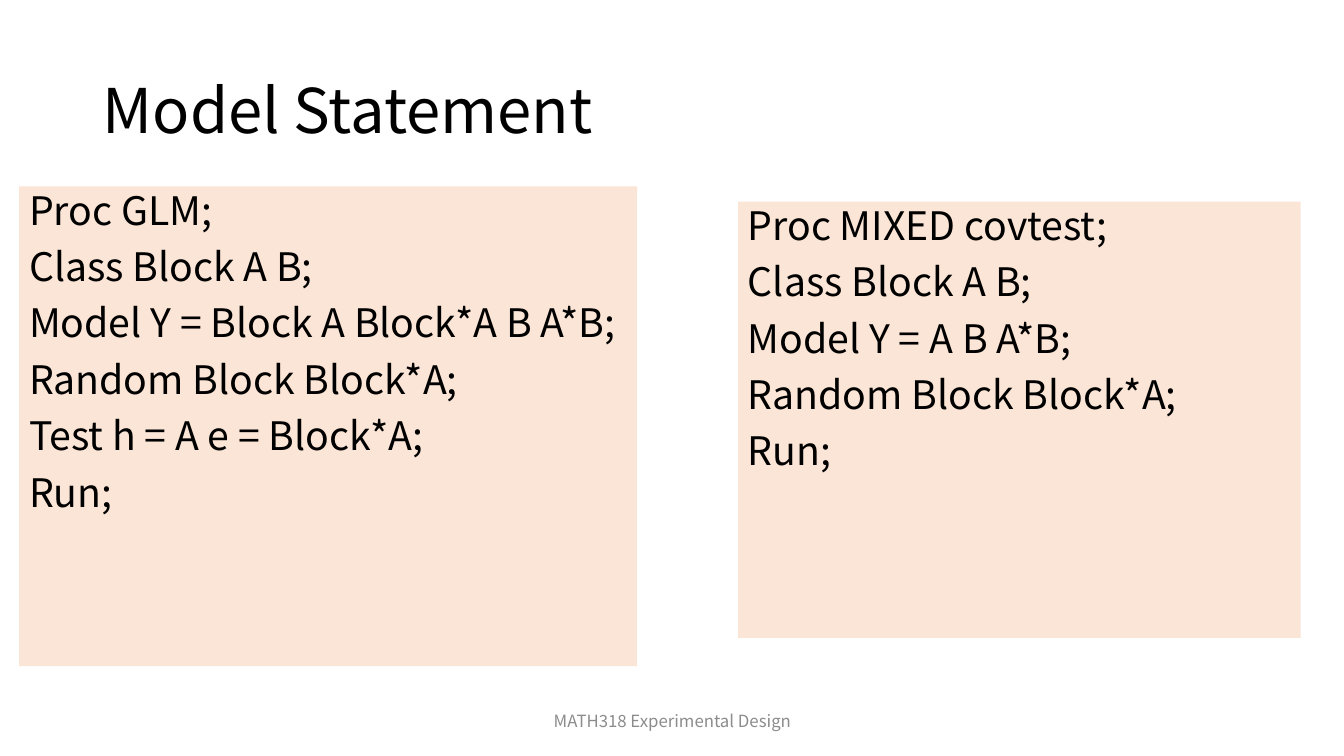
from dataclasses import dataclass

from pptx import Presentation
from pptx.dml.color import RGBColor
from pptx.enum.text import MSO_ANCHOR, PP_ALIGN
from pptx.util import Inches, Pt


@dataclass(frozen=True)
class Theme:
    font: str = "Noto Sans CJK SC"
    ink: RGBColor = RGBColor(0x00, 0x00, 0x00)
    muted: RGBColor = RGBColor(0x8C, 0x8C, 0x8C)
    panel: RGBColor = RGBColor(0xFB, 0xE5, 0xD6)
    title_size: int = 44
    code_size: int = 28
    footer_size: int = 12


theme = Theme()


def add_text(slide, box, lines, size, color, anchor=MSO_ANCHOR.TOP,
             align=PP_ALIGN.LEFT, line_spacing=0.9, space_before=0):
    block = slide.shapes.add_textbox(*(Inches(length) for length in box))
    frame = block.text_frame
    frame.word_wrap = True
    frame.vertical_anchor = anchor
    frame.text = "\n".join(lines)
    for paragraph in frame.paragraphs:
        paragraph.alignment = align
        paragraph.line_spacing = line_spacing
        paragraph.space_before = Pt(space_before)
        for run in paragraph.runs:
            run.font.name = theme.font
            run.font.size = Pt(size)
            run.font.color.rgb = color
    return block


presentation = Presentation()
presentation.slide_width = Inches(13.33)
presentation.slide_height = Inches(7.5)
slide = presentation.slides.add_slide(presentation.slide_layouts[6])

add_text(slide, (0.92, 0.4, 11.5, 1.45), ["Model Statement"],
         theme.title_size, theme.ink, anchor=MSO_ANCHOR.MIDDLE)

procedures = [
    ((0.19, 1.85, 6.13, 4.76), [
        "Proc GLM;",
        "Class Block A B;",
        "Model Y = Block A Block*A B A*B;",
        "Random Block Block*A;",
        "Test h = A e = Block*A;",
        "Run;",
    ]),
    ((7.32, 2, 5.58, 4.33), [
        "Proc MIXED covtest;",
        "Class Block A B;",
        "Model Y = A B A*B;",
        "Random Block Block*A;",
        "Run;",
    ]),
]
for box, statements in procedures:
    panel = add_text(slide, box, statements, theme.code_size, theme.ink,
                     space_before=10)
    panel.fill.solid()
    panel.fill.fore_color.rgb = theme.panel

add_text(slide, (4.42, 6.95, 4.5, 0.4), ["MATH318 Experimental Design"],
         theme.footer_size, theme.muted, anchor=MSO_ANCHOR.MIDDLE,
         align=PP_ALIGN.CENTER, line_spacing=1.0)

presentation.save("out.pptx")
